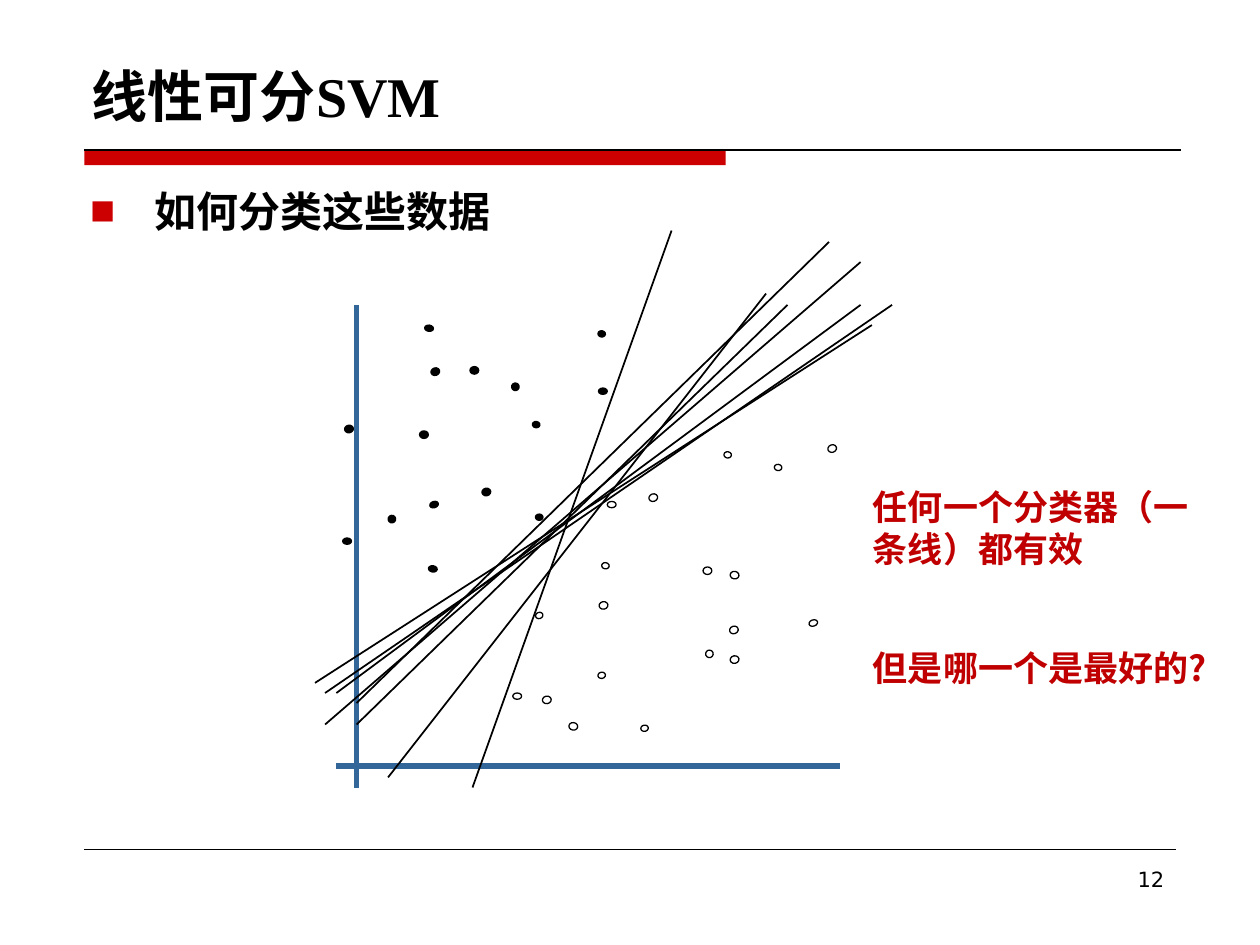
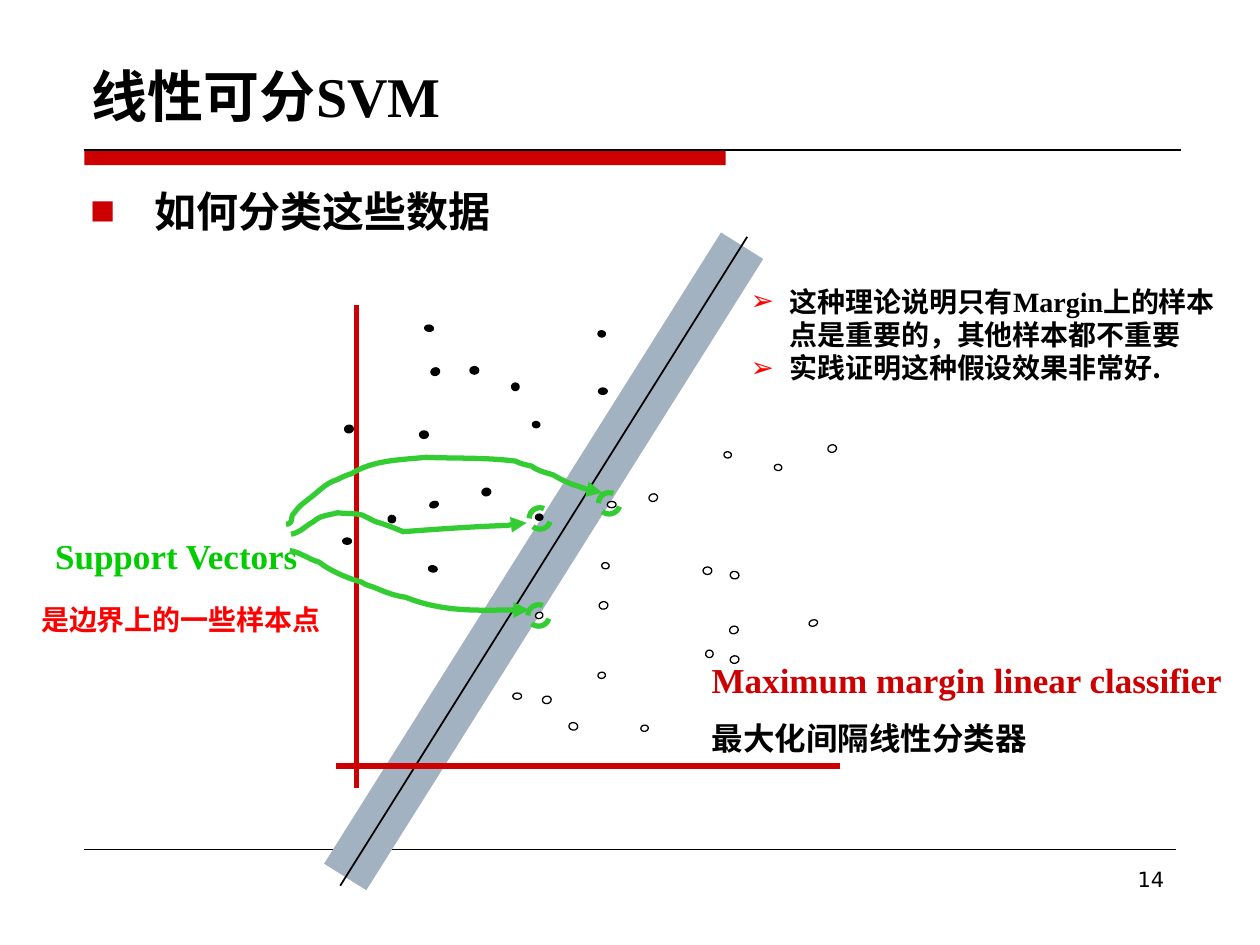
import pptx
import pptx.util
import pptx.dml.color
import pptx.enum.dml
import pptx.enum.shapes
import pptx.enum.text
import pptx.oxml
import pptx.oxml.ns
from lxml import etree

PX = 9144  # one hundredth of an inch
COLORS = {
    "black": "000000", "white": "FFFFFF", "red": "CC0000", "dark_red": "C00000",
    "bright_red": "FF0000", "blue": "336699", "grey": "A3B2C1",
    "green": "33CC33", "label_green": "00CC00",
}
CJK, SERIF, SANS = "Noto Sans CJK SC", "Times New Roman", "DejaVu Sans"
LEFT, CENTER, RIGHT = (getattr(pptx.enum.text.PP_ALIGN, a) for a in ("LEFT", "CENTER", "RIGHT"))
qn = pptx.oxml.ns.qn

# Sample points: rotation -> (left, top, width, height)
FILLED = {
    0: [(272, 427, 7, 5), (475, 308, 7, 5), (373, 291, 7, 6), (425, 408, 6, 5), (333, 342, 7, 6)],
    341.4: [(342, 292, 7, 6), (341, 398, 7, 5)],
    98.3: [(423, 334, 5, 6), (341, 448, 5, 7), (475, 262, 5, 6), (338, 257, 5, 7)],
    79.6: [(383, 387, 6, 7), (308, 409, 6, 6), (406, 304, 6, 6), (274, 337, 6, 7)],
}
HOLLOW = {
    0: [(407, 550, 7, 5), (482, 398, 7, 5), (558, 450, 7, 6)],
    341.4: [(425, 486, 6, 5), (657, 353, 7, 6), (579, 497, 7, 6), (515, 392, 7, 6),
            (642, 492, 7, 5)],
    98.3: [(452, 573, 6, 7), (580, 453, 6, 7), (478, 446, 5, 6), (615, 368, 5, 6),
           (575, 358, 5, 6), (560, 516, 6, 6)],
    79.6: [(509, 575, 5, 6), (475, 533, 5, 6), (476, 477, 6, 7), (431, 552, 6, 7),
           (580, 520, 6, 7)],
}
CANDIDATE_LINES = [
    (375, 625, 533, 183), (258, 575, 683, 208), (283, 558, 658, 192),
    (250, 542, 692, 258), (283, 575, 625, 242), (267, 550, 683, 242),
    (308, 617, 608, 233), (258, 550, 708, 242),
]
# Start point, then two control points and an end point for each curve
ARROW_CURVES = [
    [(231, 424), (238, 423), (243, 417), (249, 414), (254, 409), (261, 409), (268, 407),
     (277, 408), (281, 407), (288, 409), (288, 409), (298, 414), (298, 414),
     (305, 416), (313, 419), (320, 422), (347, 420), (375, 418), (403, 417),
     (408, 416), (413, 415), (418, 415)],
    [(227, 416), (228, 416), (230, 416), (230, 415), (232, 414), (231, 411), (232, 409),
     (233, 407), (235, 406), (236, 404), (238, 401), (248, 394), (249, 393),
     (255, 388), (260, 383), (267, 381), (271, 379), (275, 377), (279, 376),
     (296, 365), (319, 365), (338, 363), (362, 364), (385, 363), (409, 366),
     (413, 368), (417, 369), (422, 370), (427, 374), (433, 375), (439, 377),
     (446, 381), (452, 384), (459, 386), (465, 388), (472, 391), (478, 391)],
    [(230, 437), (238, 438), (245, 444), (253, 446), (262, 453), (276, 459), (287, 462),
     (291, 465), (295, 465), (299, 467), (306, 470), (314, 473), (322, 474),
     (352, 486), (388, 484), (420, 484)],
]
SUPPORT_VECTORS = [(475, 391), (420, 403), (419, 480)]


def rgb(name):
    return pptx.dml.color.RGBColor.from_string(COLORS[name])


class Deck:
    def __init__(self):
        self.prs = pptx.Presentation()
        self.prs.slide_width, self.prs.slide_height = 1000 * PX, 750 * PX
        self.shapes = None

    def new_slide(self, number):
        """Start a slide with the title, bands, heading and page number they all share."""
        self.shapes = self.prs.slides.add_slide(self.prs.slide_layouts[6]).shapes
        self.shape("RECTANGLE", (67, 119, 509, 12), "red")
        self.line((67, 119, 937, 119), "black", 0.75)
        self.line((67, 674, 933, 674), "black", 0.25)
        tf = self.text((63, 21, 875, 83), [
            dict(runs=[("线性可分", 32, CJK, "black"), ("SVM", 32, SERIF, "black")])])
        tf.vertical_anchor = pptx.enum.text.MSO_ANCHOR.BOTTOM
        tf.margin_bottom = 2 * PX
        self.text((831, 683, 103, 52), [
            dict(runs=[(str(number), 12, SANS, "black")], align=RIGHT)], bold=False)
        self.text((62, 139, 875, 520), [
            dict(runs=[("如何分类这些数据", 24, CJK, "black")], line=31,
                 bullet=("■", CJK, "red", 60, 51))])

    def outline(self, sp, color, width):
        sp.line.color.rgb = rgb(color)
        sp.line.width = pptx.util.Pt(width)

    def shape(self, kind, box, fill=None, line=None, width=0.75, rotation=0, dash=False):
        kind = getattr(pptx.enum.shapes.MSO_SHAPE, kind)
        sp = self.shapes.add_shape(kind, *(v * PX for v in box))
        sp.shadow.inherit = False
        sp.rotation = rotation
        if fill:
            sp.fill.solid()
            sp.fill.fore_color.rgb = rgb(fill)
        else:
            sp.fill.background()
        if line:
            self.outline(sp, line, width)
        else:
            sp.line.fill.background()
        if dash:
            sp.line.dash_style = pptx.enum.dml.MSO_LINE.DASH

    def line(self, ends, color, width):
        straight = pptx.enum.shapes.MSO_CONNECTOR.STRAIGHT
        sp = self.shapes.add_connector(straight, *(v * PX for v in ends))
        self.outline(sp, color, width)
        etree.SubElement(sp._element.spPr, qn("a:effectLst"))

    def curved_arrow(self, points, color, width):
        """Join the points by cubic curves, three points to a curve, with an arrowhead at the end."""
        fb = self.shapes.build_freeform(*points[0], scale=PX)
        fb.add_line_segments(points[1:], close=False)
        sp = fb.convert_to_shape()
        sp.shadow.inherit = False
        sp.fill.background()
        self.outline(sp, color, width)
        etree.SubElement(sp.line._get_or_add_ln(), qn("a:tailEnd"), type="triangle")
        outline = sp._element.spPr.find(".//" + qn("a:path"))
        segments = outline.findall(qn("a:lnTo"))
        for i in range(0, len(segments), 3):
            curve = etree.SubElement(outline, qn("a:cubicBezTo"))
            for segment in segments[i:i + 3]:
                curve.append(segment[0])
                outline.remove(segment)

    def text(self, box, paragraphs, bold=True):
        """Each paragraph is a dict: runs, and optionally align, line, before (points), bullet."""
        tf = self.shapes.add_textbox(*(v * PX for v in box)).text_frame
        tf.word_wrap = True
        for i, item in enumerate(paragraphs):
            p = tf.add_paragraph() if i else tf.paragraphs[0]
            p.alignment = item.get("align", LEFT)
            p.space_before = pptx.util.Pt(item.get("before", 0))
            if "line" in item:
                p.line_spacing = pptx.util.Pt(item["line"])
            if "bullet" in item:
                self.bullet(p, *item["bullet"])
            for content, size, font, color in item["runs"]:
                r = p.add_run()
                r.text = content
                r.font.size = pptx.util.Pt(size)
                r.font.bold = bold
                r.font.color.rgb = rgb(color)
                r.font.name = font
                etree.SubElement(r._r.get_or_add_rPr(), qn("a:ea"), typeface=font)
        return tf

    def bullet(self, p, char, font, color, percent, indent):
        pPr = p._p.get_or_add_pPr()
        pPr.set("marL", str(indent * PX))
        pPr.set("indent", str(-indent * PX))
        bu_color = etree.SubElement(pPr, qn("a:buClr"))
        etree.SubElement(bu_color, qn("a:srgbClr"), val=COLORS[color])
        etree.SubElement(pPr, qn("a:buSzPct"), val=str(percent * 1000))
        etree.SubElement(pPr, qn("a:buFont"), typeface=font)
        etree.SubElement(pPr, qn("a:buChar"), char=char)

    def scatter(self, axis_color):
        self.line((283, 242, 283, 625), axis_color, 3)
        self.line((267, 608, 667, 608), axis_color, 3)
        for fill, groups in (("black", FILLED), ("white", HOLLOW)):
            for rotation, boxes in groups.items():
                for box in boxes:
                    self.shape("OVAL", box, fill, "black", rotation=rotation)


def candidates_slide(deck):
    deck.new_slide(12)
    deck.text((683, 380, 295, 178), [
        dict(runs=[("任何一个分类器（一条线）都有效", 20, CJK, "dark_red")], line=24),
        dict(runs=[("但是哪一个是最好的?", 20, CJK, "dark_red")], line=24, before=44)])
    deck.scatter("blue")
    for ends in CANDIDATE_LINES:
        deck.line(ends, "black", 1)


def margin_slide(deck):
    deck.new_slide(14)
    deck.line((274, 696, 589, 195), "grey", 28.5)
    deck.line((270, 703, 593, 188), "black", 1)
    deck.scatter("red")
    deck.text((12, 419, 256, 94), [
        dict(runs=[("Support Vectors", 20, SERIF, "label_green")], line=24, align=CENTER),
        dict(runs=[(" ", 20, SERIF, "label_green"),
                   ("是边界上的一些样本点", 16, CJK, "bright_red")],
             line=24, before=11, align=CENTER)])
    for points in ARROW_CURVES:
        deck.curved_arrow(points, "green", 3)
    for left, top in SUPPORT_VECTORS:
        deck.shape("OVAL", (left, top, 17, 17), line="green", width=3, dash=True)
    deck.text((555, 518, 440, 89), [
        dict(runs=[("Maximum margin linear classifier", 20, SERIF, "red")], line=24),
        dict(runs=[("最大化间隔线性分类器", 18, CJK, "black")], line=22, before=10)])
    arrow = ("➢", SANS, "bright_red", 100, 31)
    deck.text((586, 221, 404, 91), [
        dict(runs=[("这种理论说明只有", 16, CJK, "black"), ("Margin", 16, SERIF, "black"),
                   ("上的样本点是重要的，其他样本都不重要", 16, CJK, "black")],
             line=19, bullet=arrow),
        dict(runs=[("实践证明这种假设效果非常好.", 16, CJK, "black")], line=19, bullet=arrow)])


def main():
    deck = Deck()
    candidates_slide(deck)
    margin_slide(deck)
    deck.prs.save("out.pptx")


if __name__ == "__main__":
    main()
